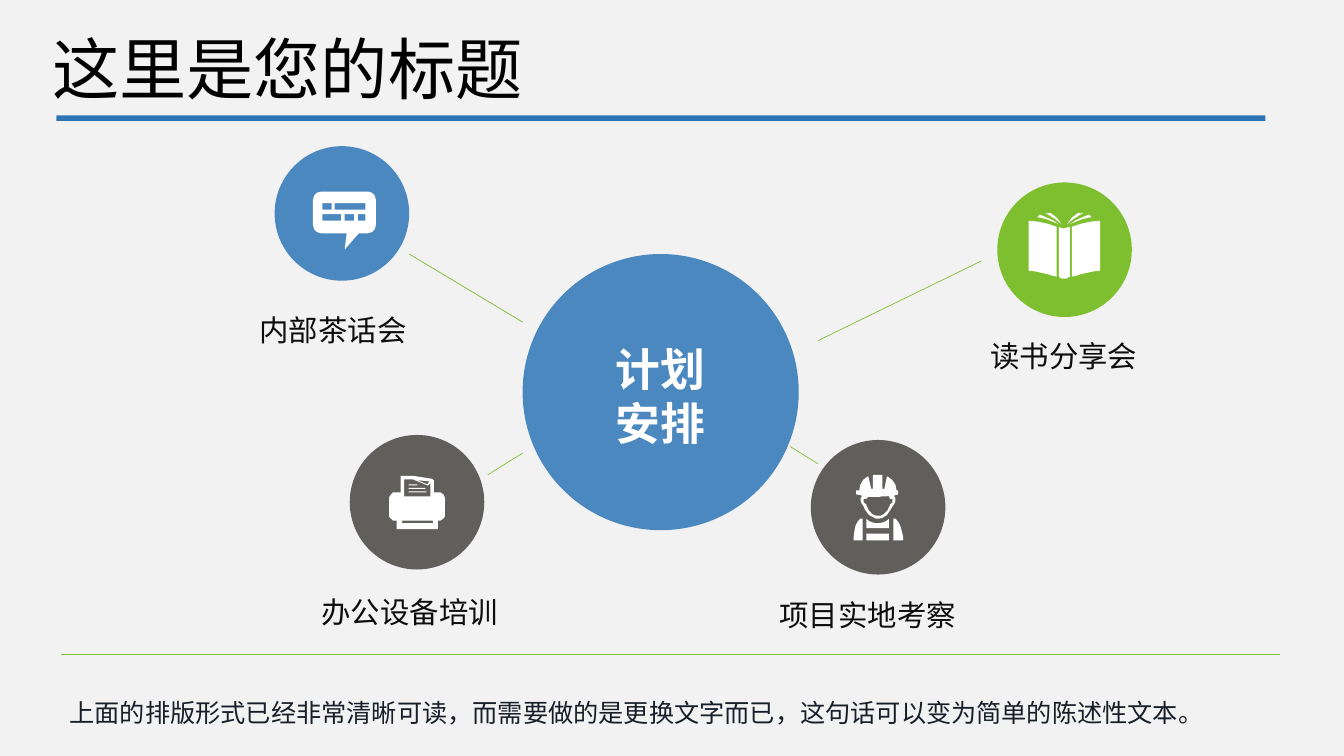
from dataclasses import dataclass
from typing import NamedTuple

from lxml import etree
from pptx import Presentation
from pptx.dml.color import RGBColor
from pptx.enum.shapes import MSO_CONNECTOR, MSO_SHAPE
from pptx.enum.text import MSO_ANCHOR, MSO_AUTO_SIZE, PP_ALIGN
from pptx.oxml.ns import qn
from pptx.util import Pt

PX = 9144  # 100 px to the inch
FONT = "Noto Sans CJK SC"
OVAL, RECTANGLE = MSO_SHAPE.OVAL, MSO_SHAPE.RECTANGLE
STRAIGHT = MSO_CONNECTOR.STRAIGHT
LEFT, CENTER = PP_ALIGN.LEFT, PP_ALIGN.CENTER
TOP, MIDDLE = MSO_ANCHOR.TOP, MSO_ANCHOR.MIDDLE
FIT_SHAPE = MSO_AUTO_SIZE.SHAPE_TO_FIT_TEXT

BACKGROUND = RGBColor(0xF2, 0xF2, 0xF2)
BLUE = RGBColor(0x4B, 0x88, 0xBF)
RULE_BLUE = RGBColor(0x2E, 0x75, 0xB5)
GREEN = RGBColor(0x7E, 0xBF, 0x2F)
LINE_GREEN = RGBColor(0x7F, 0xBF, 0x2F)
GRAY = RGBColor(0x61, 0x5F, 0x5C)
WHITE = RGBColor(0xFF, 0xFF, 0xFF)
BLACK = RGBColor(0, 0, 0)
LABEL_INK = RGBColor(0x0D, 0x0D, 0x0D)
SUMMARY_INK = RGBColor(0x17, 0x1E, 0x28)

TOPIC_DIAMETER = 267
CURVE_STEPS = 6


class Box(NamedTuple):
    left: int
    top: int
    width: int
    height: int


class Curve(NamedTuple):
    """Cubic curve from the previous point: two handles, then the end."""
    x1: int
    y1: int
    x2: int
    y2: int
    x: int
    y: int


@dataclass
class TextStyle:
    size: int
    color: RGBColor
    bold: bool = False
    align: PP_ALIGN = LEFT
    anchor: MSO_ANCHOR = TOP
    inset: int = 13
    wrap: bool = False
    spacing: float = 1.0


@dataclass
class Topic:
    label: str
    label_box: Box
    circle: tuple
    color: RGBColor
    icon_origin: tuple
    icon: list


def block(left: int, top: int, right: int, bottom: int) -> list:
    return [(left, top), (right, top), (right, bottom), (left, bottom)]


def mirrored(contour: list, width: int) -> list:
    return [type(step)(*(width - v if i % 2 == 0 else v for i, v in enumerate(step)))
            if isinstance(step, Curve) else (width - step[0], step[1]) for step in contour]


# Icon contours, measured from the icon's top left corner
SPEECH = [
    [(17, 0), (108, 0), Curve(117, 0, 125, 8, 125, 17), (125, 66),
     Curve(125, 75, 117, 83, 108, 83), (91, 83), (63, 115), (67, 83), (17, 83),
     Curve(8, 83, 0, 75, 0, 66), (0, 17), Curve(0, 8, 8, 0, 17, 0)],
    block(19, 23, 37, 36), block(43, 23, 104, 36),
    block(19, 45, 56, 58), block(63, 45, 82, 58), block(89, 45, 104, 58),
]
BOOK_HALF = [
    [(56, 27), (56, 126), Curve(39, 121, 20, 116, 0, 114), (0, 15),
     Curve(20, 17, 39, 20, 56, 27)],
    [(65, 22), Curve(60, 12, 53, 5, 44, 0), (34, 0), Curve(48, 8, 58, 15, 65, 22)],
    [(60, 22), Curve(46, 15, 32, 10, 17, 8), (22, 3), Curve(39, 8, 51, 15, 60, 22)],
]
BOOK_SPINE = [(60, 27), Curve(68, 32, 75, 29, 82, 27), (82, 126),
              Curve(75, 131, 68, 133, 60, 126)]
BOOK = BOOK_HALF + [mirrored(part, 142) for part in BOOK_HALF] + [BOOK_SPINE]
PRINTER = [
    [(97, 89), (97, 106), (15, 106), (15, 89), (11, 89), Curve(6, 89, 0, 83, 0, 78),
     (0, 46), Curve(0, 39, 6, 33, 11, 33), (23, 33), (23, 0), (47, 0), (85, 6), (89, 9),
     (89, 33), (98, 33), Curve(106, 33, 111, 39, 111, 46), (111, 78),
     Curve(111, 83, 106, 89, 98, 89)],
    [(30, 41), (82, 41), (82, 15), (78, 19), (76, 19), (47, 7), (30, 7)],
    [(80, 11), (76, 17), (56, 9)],
    block(26, 89, 87, 94), block(39, 31, 74, 33), block(39, 24, 72, 26), block(39, 17, 56, 19),
]
WORKER = [
    # Helmet and head, then the face opening
    [(81, 44), (83, 46), Curve(83, 50, 83, 54, 81, 57), (77, 63), Curve(74, 68, 70, 74, 66, 80),
     Curve(61, 83, 55, 87, 48, 87), Curve(42, 87, 37, 83, 31, 80), Curve(25, 74, 22, 68, 20, 63),
     (16, 57), Curve(14, 54, 14, 52, 14, 46), (16, 44), (16, 41), Curve(13, 41, 9, 39, 5, 39),
     (5, 31), (11, 31), Curve(11, 20, 18, 9, 29, 3), (35, 28), (38, 28), (38, 0), (57, 0),
     (57, 28), (61, 28), (66, 3), Curve(77, 9, 85, 20, 85, 31), (88, 31), (88, 39),
     Curve(86, 39, 83, 41, 81, 41)],
    [(70, 42), Curve(57, 44, 42, 44, 29, 44), (25, 48), (20, 48), (20, 55), (25, 59),
     Curve(27, 67, 31, 72, 35, 76), Curve(38, 80, 44, 81, 48, 81), Curve(54, 81, 59, 80, 62, 76),
     Curve(66, 72, 70, 67, 72, 59), (77, 55), (77, 48), (72, 48)],
    # Arms and overalls
    [(13, 87), (18, 87), (18, 130), (0, 130), Curve(0, 117, 1, 98, 13, 87)],
    [(79, 87), (83, 87), Curve(92, 94, 98, 115, 98, 130), (79, 130)],
    [(25, 87), Curve(31, 93, 38, 96, 48, 96), Curve(57, 96, 64, 93, 70, 87), (70, 106), (25, 106)],
    block(25, 117, 70, 130),
]

TOPICS = [
    Topic("内部茶话会", Box(502, 607, 320, 85), (545, 290), BLUE, (621, 380), SPEECH),
    Topic("读书分享会", Box(1952, 657, 321, 98), (1979, 362), GREEN, (2041, 423), BOOK),
    Topic("办公设备培训", Box(625, 1165, 378, 85), (694, 863), GRAY, (772, 944), PRINTER),
    Topic("项目实地考察", Box(1534, 1172, 378, 85), (1609, 873), GRAY, (1694, 942), WORKER),
]
LINES = [  # four spokes, then the rule above the summary
    (1037, 639, 812, 504), (968, 942, 1037, 899), (1568, 886, 1623, 920),
    (1623, 676, 1947, 518), (121, 1298, 2541, 1298),
]
TITLE_STYLE = TextStyle(96, BLACK, align=CENTER, anchor=MIDDLE, inset=6)
LABEL_STYLE = TextStyle(42, LABEL_INK)
HUB_STYLE = TextStyle(64, WHITE, bold=True)
SUMMARY_STYLE = TextStyle(36, SUMMARY_INK, wrap=True, spacing=1.5)


def emu(lengths) -> list:
    return [length * PX for length in lengths]


def paint(shape, color: RGBColor) -> None:
    shape.shadow.inherit = False
    shape.fill.solid()
    shape.fill.fore_color.rgb = color
    shape.line.fill.background()


def add_solid(slide, kind: MSO_SHAPE, box: Box, color: RGBColor) -> None:
    paint(slide.shapes.add_shape(kind, *emu(box)), color)


def flatten(contour: list) -> list:
    points = []
    for step in contour:
        if not isinstance(step, Curve):
            points.append(step)
            continue
        x0, y0 = points[-1]
        for i in range(1, CURVE_STEPS + 1):
            t = i / CURVE_STEPS
            a, b, c, d = (1 - t) ** 3, 3 * t * (1 - t) ** 2, 3 * t * t * (1 - t), t ** 3
            points.append((a * x0 + b * step.x1 + c * step.x2 + d * step.x,
                           a * y0 + b * step.y1 + c * step.y2 + d * step.y))
    return points


def add_icon(slide, origin: tuple, contours: list) -> None:
    outlines = [flatten(contour) for contour in contours]
    builder = slide.shapes.build_freeform(*outlines[0][0], scale=PX)
    for i, (start, *rest) in enumerate(outlines):
        if i:
            builder.move_to(*start)
        builder.add_line_segments(rest, close=True)
    paint(builder.convert_to_shape(*emu(origin)), WHITE)


def add_line(slide, ends: tuple) -> None:
    line = slide.shapes.add_connector(STRAIGHT, *emu(ends))
    line.line.color.rgb = LINE_GREEN
    line.line.width = Pt(1)
    etree.SubElement(line._element.spPr, qn("a:effectLst"))


def write(shape, box: Box, lines: list, style: TextStyle) -> None:
    shape.left, shape.top, shape.width, shape.height = emu(box)
    frame = shape.text_frame
    frame.text = "\n".join(lines)
    frame.word_wrap = style.wrap
    frame.auto_size = FIT_SHAPE
    frame.vertical_anchor = style.anchor
    frame.margin_left = frame.margin_right = style.inset * PX
    frame.margin_top = frame.margin_bottom = style.inset * PX
    for paragraph in frame.paragraphs:
        paragraph.alignment = style.align
        paragraph.line_spacing = style.spacing
        font = paragraph.font
        font.name, font.size, font.bold = FONT, Pt(style.size), style.bold
        font.color.rgb = style.color
        defaults = paragraph._p.pPr.find(qn("a:defRPr"))
        etree.SubElement(defaults, qn("a:ea"), typeface=FONT)


def add_text(slide, box: Box, lines: list, style: TextStyle) -> None:
    write(slide.shapes.add_textbox(*emu(box)), box, lines, style)


def main() -> None:
    deck = Presentation()
    deck.slide_width, deck.slide_height = emu((2667, 1500))
    slide = deck.slides.add_slide(deck.slide_layouts[5])
    slide.background.fill.solid()
    slide.background.fill.fore_color.rgb = BACKGROUND

    # Title and its rule
    write(slide.shapes.title, Box(97, 62, 946, 145), ["这里是您的标题"], TITLE_STYLE)
    add_solid(slide, RECTANGLE, Box(112, 229, 2399, 11), RULE_BLUE)

    # Topics around the hub
    for topic in TOPICS:
        add_solid(slide, OVAL, Box(*topic.circle, TOPIC_DIAMETER, TOPIC_DIAMETER), topic.color)
        add_icon(slide, topic.icon_origin, topic.icon)
        add_text(slide, topic.label_box, [topic.label], LABEL_STYLE)
    for ends in LINES:
        add_line(slide, ends)

    # Hub
    add_solid(slide, OVAL, Box(1037, 504, 548, 548), BLUE)
    add_text(slide, Box(1208, 665, 231, 277), ["计划", "安排"], HUB_STYLE)

    # Summary
    summary = "上面的排版形式已经非常清晰可读，而需要做的是更换文字而已，这句话可以变为简单的陈述性文本。"
    add_text(slide, Box(125, 1340, 2416, 96), [summary], SUMMARY_STYLE)

    deck.save("out.pptx")


if __name__ == "__main__":
    main()
